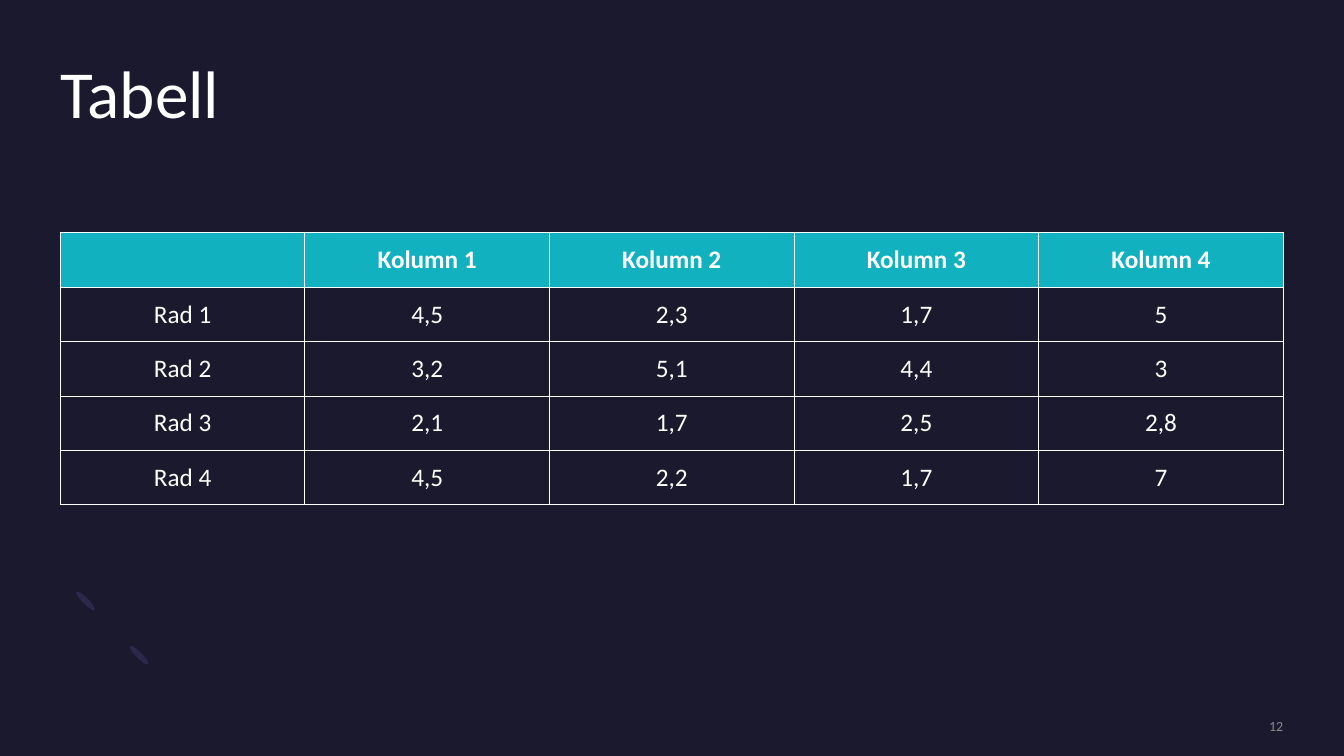
from dataclasses import dataclass

from lxml import etree
from pptx import Presentation
from pptx.dml.color import RGBColor
from pptx.enum.shapes import MSO_SHAPE
from pptx.enum.text import MSO_ANCHOR, PP_ALIGN
from pptx.oxml.ns import qn
from pptx.util import Cm, Pt

ELLIPSE = MSO_SHAPE.OVAL
TOP, MIDDLE = MSO_ANCHOR.TOP, MSO_ANCHOR.MIDDLE
LEFT, CENTER, RIGHT = PP_ALIGN.LEFT, PP_ALIGN.CENTER, PP_ALIGN.RIGHT
BLANK_LAYOUT = 6


@dataclass(frozen=True)
class Theme:
    font: str = "Calibri"
    background: str = "1B192E"
    ornament: str = "2C284A"
    header: str = "12B1BF"
    text: str = "FFFFFF"
    muted: str = "A6A6A6"
    title_size: int = 48
    table_size: int = 18
    number_size: int = 10
    border_width: float = 0.75


THEME = Theme()
MARGIN = 1.52
CONTENT_WIDTH = 30.82
TABLE_TOP = 5.87
ROW_HEIGHT = 1.37
ORNAMENT_SIZE = (0.15, 0.66)
ORNAMENTS = [(3.43, 16.18), (2.08, 14.81)]
ROWS = [
    ["", "Kolumn 1", "Kolumn 2", "Kolumn 3", "Kolumn 4"],
    ["Rad 1", "4,5", "2,3", "1,7", "5"],
    ["Rad 2", "3,2", "5,1", "4,4", "3"],
    ["Rad 3", "2,1", "1,7", "2,5", "2,8"],
    ["Rad 4", "4,5", "2,2", "1,7", "7"],
]


def rgb(code):
    return RGBColor.from_string(code)


def add_span(para, text, size, color, bold=False):
    span = para.add_run()
    span.text = text
    span.font.name = THEME.font
    span.font.size = Pt(size)
    span.font.bold = bold
    span.font.color.rgb = rgb(color)
    return span


def add_text(page, text, left, top, width, height, size, color, align=LEFT, anchor=TOP):
    box = page.shapes.add_textbox(Cm(left), Cm(top), Cm(width), Cm(height))
    frame = box.text_frame
    frame.word_wrap = True
    frame.vertical_anchor = anchor
    frame.margin_left = frame.margin_right = frame.margin_top = frame.margin_bottom = 0
    para = frame.paragraphs[0]
    para.alignment = align
    return para, add_span(para, text, size, color)


def set_opacity(span, percent):
    color = span.font.fill._xPr.find(qn("a:solidFill")).find(qn("a:srgbClr"))
    etree.SubElement(color, qn("a:alpha"), val=str(percent * 1000))


def add_ornament(page, left, top):
    width, height = ORNAMENT_SIZE
    shape = page.shapes.add_shape(ELLIPSE, Cm(left), Cm(top), Cm(width), Cm(height))
    shape.rotation = 135
    shape.shadow.inherit = False
    shape.fill.solid()
    shape.fill.fore_color.rgb = rgb(THEME.ornament)
    shape.line.fill.background()


def add_borders(cell):
    """Draw all four cell edges; call before setting the fill, which must follow in the XML."""
    properties = cell._tc.get_or_add_tcPr()
    for side in ("a:lnL", "a:lnR", "a:lnT", "a:lnB"):
        line = etree.SubElement(properties, qn(side), w=str(Pt(THEME.border_width)))
        fill = etree.SubElement(line, qn("a:solidFill"))
        etree.SubElement(fill, qn("a:srgbClr"), val=THEME.text)


def fill_cell(cell, text, is_header):
    cell.vertical_anchor = MIDDLE
    add_borders(cell)
    if is_header:
        cell.fill.solid()
        cell.fill.fore_color.rgb = rgb(THEME.header)
    else:
        cell.fill.background()
    para = cell.text_frame.paragraphs[0]
    para.alignment = CENTER
    if text:
        add_span(para, text, THEME.table_size, THEME.text, bold=is_header)


def add_data_table(page, rows):
    column_count = len(rows[0])
    frame = page.shapes.add_table(
        len(rows), column_count, Cm(MARGIN), Cm(TABLE_TOP),
        Cm(CONTENT_WIDTH), Cm(ROW_HEIGHT * len(rows)))
    table = frame.table
    table.horz_banding = False
    for column in table.columns:
        column.width = Cm(CONTENT_WIDTH / column_count)
    for row_index, values in enumerate(rows):
        table.rows[row_index].height = Cm(ROW_HEIGHT)
        for column_index, text in enumerate(values):
            fill_cell(table.cell(row_index, column_index), text, row_index == 0)


def main():
    deck = Presentation()
    deck.slide_width, deck.slide_height = Cm(33.87), Cm(19.05)
    page = deck.slides.add_slide(deck.slide_layouts[BLANK_LAYOUT])
    page.background.fill.solid()
    page.background.fill.fore_color.rgb = rgb(THEME.background)

    for left, top in ORNAMENTS:
        add_ornament(page, left, top)
    title, _ = add_text(page, "Tabell", MARGIN, MARGIN, CONTENT_WIDTH, 3.71,
                        THEME.title_size, THEME.text)
    title.line_spacing = 0.9
    add_data_table(page, ROWS)
    _, number = add_text(page, "12", 27.64, 18.08, 4.7, 0.43,
                         THEME.number_size, THEME.muted, RIGHT, MIDDLE)
    set_opacity(number, 80)
    deck.save("out.pptx")


if __name__ == "__main__":
    main()
